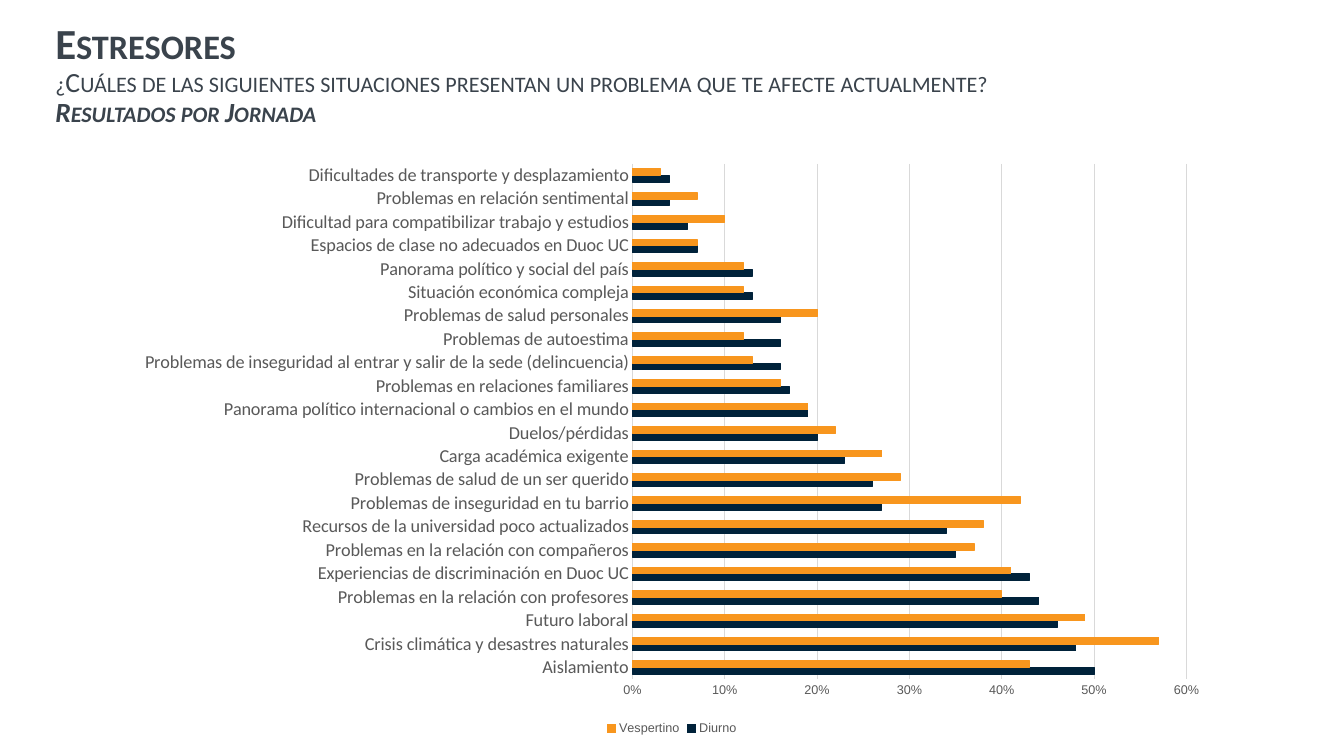
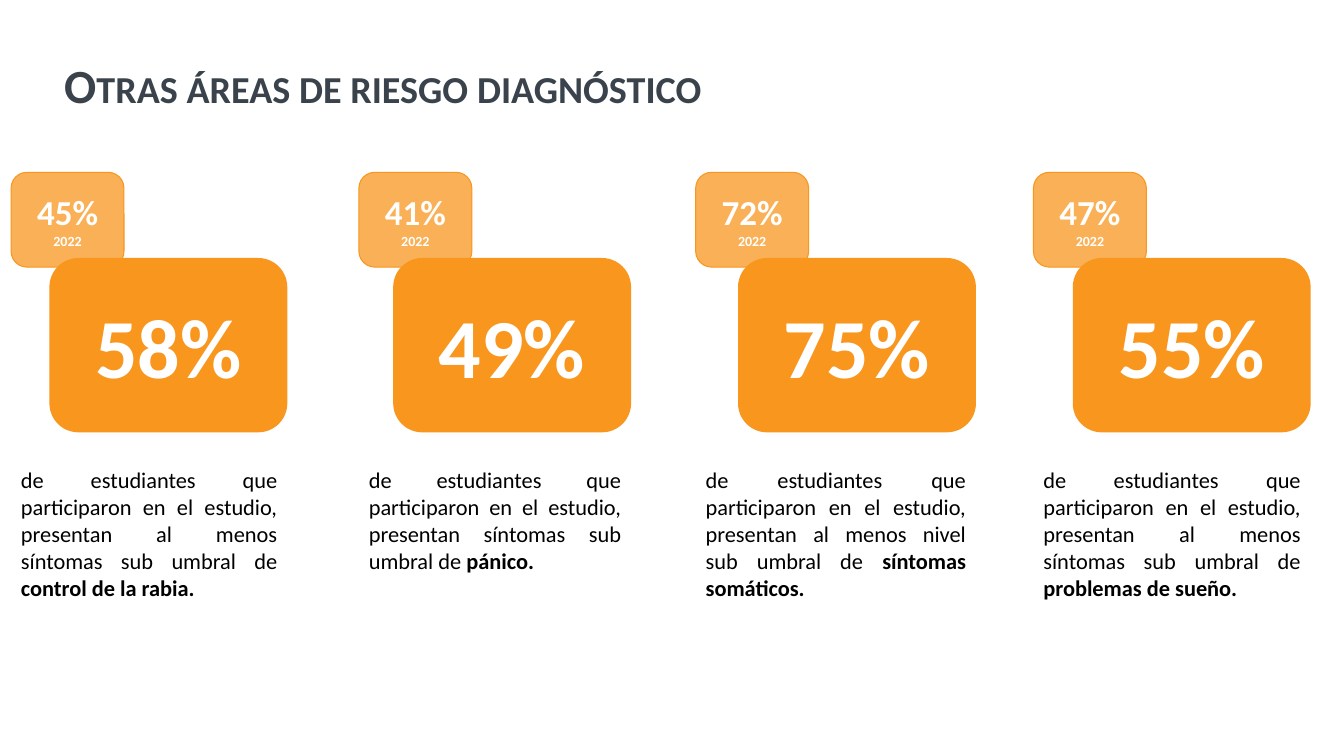
from lxml import etree
from pptx import Presentation
from pptx.chart.data import CategoryChartData
from pptx.dml.color import RGBColor
from pptx.enum.chart import XL_CHART_TYPE, XL_LEGEND_POSITION, XL_TICK_MARK
from pptx.enum.shapes import MSO_SHAPE
from pptx.enum.text import MSO_ANCHOR, PP_ALIGN
from pptx.oxml.ns import qn
from pptx.util import Inches, Pt

ORANGE, NAVY, SLATE = "F8961E", "00223A", "3A434C"
GRAY, GRID, WHITE, BLACK = "595959", "D9D9D9", "FFFFFF", "000000"

TITLE = {"name": "Calibri", "color": SLATE, "bold": True}
BODY = {"name": "Calibri", "color": BLACK, "size": 16}
FIGURE = {"name": "Calibri", "color": WHITE, "bold": True}
SMALL_ARIAL = {"name": "Arial", "color": GRAY, "size": 9}

SERIES_COLORS = {"Diurno": NAVY, "Vespertino": ORANGE}
STRESSORS = [  # situation, Diurno, Vespertino
    ("Aislamiento", 0.5, 0.43),
    ("Crisis climática y desastres naturales", 0.48, 0.57),
    ("Futuro laboral", 0.46, 0.49),
    ("Problemas en la relación con profesores", 0.44, 0.4),
    ("Experiencias de discriminación en Duoc UC", 0.43, 0.41),
    ("Problemas en la relación con compañeros", 0.35, 0.37),
    ("Recursos de la universidad poco actualizados", 0.34, 0.38),
    ("Problemas de inseguridad en tu barrio", 0.27, 0.42),
    ("Problemas de salud de un ser querido", 0.26, 0.29),
    ("Carga académica exigente", 0.23, 0.27),
    ("Duelos/pérdidas", 0.2, 0.22),
    ("Panorama político internacional o cambios en el mundo", 0.19, 0.19),
    ("Problemas en relaciones familiares", 0.17, 0.16),
    ("Problemas de inseguridad al entrar y salir de la sede (delincuencia)", 0.16, 0.13),
    ("Problemas de autoestima", 0.16, 0.12),
    ("Problemas de salud personales", 0.16, 0.2),
    ("Situación económica compleja", 0.13, 0.12),
    ("Panorama político y social del país", 0.13, 0.12),
    ("Espacios de clase no adecuados en Duoc UC", 0.07, 0.07),
    ("Dificultad para compatibilizar trabajo y estudios", 0.06, 0.1),
    ("Problemas en relación sentimental", 0.04, 0.07),
    ("Dificultades de transporte y desplazamiento", 0.04, 0.03),
]

STUDY = "de estudiantes que participaron en el estudio, presentan "
RISKS = [  # left, width, 2022 share, current share, wording, risk area
    (0.11, 2.74, "45%", "58%", "al menos síntomas sub umbral de ", "control de la rabia."),
    (3.56, 2.7, "41%", "49%", "síntomas sub umbral de ", "pánico."),
    (6.9, 2.78, "72%", "75%", "al menos nivel sub umbral de ", "síntomas somáticos."),
    (10.25, 2.75, "47%", "55%", "al menos síntomas sub umbral de ", "problemas de sueño."),
]


def rgb(color):
    return RGBColor.from_string(color)


def set_font(font, style):
    for key, value in style.items():
        if key == "color":
            font.color.rgb = rgb(value)
        else:
            setattr(font, key, Pt(value) if key == "size" else value)


def add_run(paragraph, text, style):
    run = paragraph.add_run()
    run.text = text
    set_font(run.font, style)
    return run


def add_text_frame(slide, left, top, width, height):
    box = slide.shapes.add_textbox(Inches(left), Inches(top), Inches(width), Inches(height))
    box.text_frame.word_wrap = True
    return box.text_frame


def add_lines(frame, lines, alignment, spacing=None):
    """Write one paragraph for each (text, style) and return the runs."""
    runs = []
    for index, (text, style) in enumerate(lines):
        paragraph = frame.add_paragraph() if index else frame.paragraphs[0]
        paragraph.alignment = alignment
        paragraph.line_spacing = spacing
        runs.append(add_run(paragraph, text, style))
    return runs


def add_title(slide, left, top, height, lines):
    frame = add_text_frame(slide, left, top, 12.73, height)
    frame.vertical_anchor = MSO_ANCHOR.MIDDLE
    styled = [(text, {**TITLE, **extra}) for text, extra in lines]
    for run in add_lines(frame, styled, PP_ALIGN.LEFT, 0.9):
        run.font._element.set("cap", "small")


def add_stressor_chart(slide, left, top, width, height):
    data = CategoryChartData(number_format="0%")
    situations, *shares = zip(*STRESSORS)
    data.categories = situations
    for name, values in zip(SERIES_COLORS, shares):
        data.add_series(name, values)
    chart = slide.shapes.add_chart(
        XL_CHART_TYPE.BAR_CLUSTERED,
        Inches(left), Inches(top), Inches(width), Inches(height), data,
    ).chart
    chart.has_title = False
    set_font(chart.font, {"name": "Arial", "size": 10, "color": BLACK})

    plot = chart.plots[0]
    plot.gap_width, plot.overlap, plot.vary_by_categories = 150, 0, False
    for series in plot.series:
        color = rgb(SERIES_COLORS[series.name])
        series.invert_if_negative = False
        series.format.fill.solid()
        series.format.fill.fore_color.rgb = color
        series.format.line.color.rgb = color
        series.format.line.width = Pt(0.75)

    situation_axis, share_axis = chart.category_axis, chart.value_axis
    for axis in (situation_axis, share_axis):
        axis.major_tick_mark = axis.minor_tick_mark = XL_TICK_MARK.NONE
    set_font(situation_axis.tick_labels.font, {"name": "Calibri", "size": 13, "color": GRAY})
    set_font(share_axis.tick_labels.font, SMALL_ARIAL)
    share_axis.tick_labels.number_format = "0%"
    share_axis.tick_labels.number_format_is_linked = False
    share_axis.minimum_scale, share_axis.maximum_scale, share_axis.major_unit = 0, 0.6, 0.1
    share_axis.format.line.fill.background()
    for line in (situation_axis.format.line, share_axis.major_gridlines.format.line):
        line.color.rgb = rgb(GRID)
        line.width = Pt(0.75)

    chart.has_legend = True
    chart.legend.position = XL_LEGEND_POSITION.BOTTOM
    chart.legend.include_in_layout = False
    set_font(chart.legend.font, SMALL_ARIAL)


def add_tile(slide, left, top, width, height, lines):
    tile = slide.shapes.add_shape(
        MSO_SHAPE.ROUNDED_RECTANGLE,
        Inches(left), Inches(top), Inches(width), Inches(height),
    )
    tile.shadow.inherit = False
    tile.fill.solid()
    tile.fill.fore_color.rgb = rgb(ORANGE)
    tile.line.fill.background()
    tile.text_frame.word_wrap = True
    tile.text_frame.vertical_anchor = MSO_ANCHOR.MIDDLE
    styled = [(text, {**FIGURE, "size": size}) for text, size in lines]
    add_lines(tile.text_frame, styled, PP_ALIGN.CENTER)
    return tile


def add_risk_card(slide, left, top, width, past, current, wording, area):
    """Place a 2022 badge, the current share flush right, and its explanation."""
    tile_width = 2.36
    add_tile(slide, left + width - tile_width, top + 0.85, tile_width, 1.73, [(current, 60)])

    badge = add_tile(slide, left, top, 1.12, 0.94, [(past, 25), ("2022", 10)])
    fill_color = badge.fill._xPr.find(qn("a:solidFill"))[0]
    etree.SubElement(fill_color, qn("a:alpha"), val="75000")
    badge.line.color.rgb = rgb(ORANGE)
    badge.line.width = Pt(0.75)

    explanation = add_text_frame(slide, left, top + 2.87, width, 1.45).paragraphs[0]
    explanation.alignment = PP_ALIGN.JUSTIFY
    add_run(explanation, STUDY + wording, BODY)
    add_run(explanation, area, {**BODY, "bold": True})


def build_stressors(slide):
    add_title(slide, 0.45, 0.15, 1.2, [
        ("Estresores", {"size": 30.6}),
        ("¿Cuáles de las siguientes situaciones presentan un problema que te afecte actualmente?",
         {"size": 19.8, "bold": False}),
        ("Resultados por Jornada", {"size": 19.8, "italic": True}),
    ])
    add_stressor_chart(slide, 1.22, 1.51, 10.89, 5.83)


def build_risk_areas(slide):
    add_title(slide, 0.54, 0.4, 0.94, [("Otras áreas de riesgo diagnóstico", {"size": 34})])
    for left, width, *content in RISKS:
        add_risk_card(slide, left, 1.71, width, *content)


def main():
    deck = Presentation()
    deck.slide_width, deck.slide_height = Inches(13.33), Inches(7.5)
    for build in (build_stressors, build_risk_areas):
        build(deck.slides.add_slide(deck.slide_layouts[6]))
    deck.save("out.pptx")


if __name__ == "__main__":
    main()
